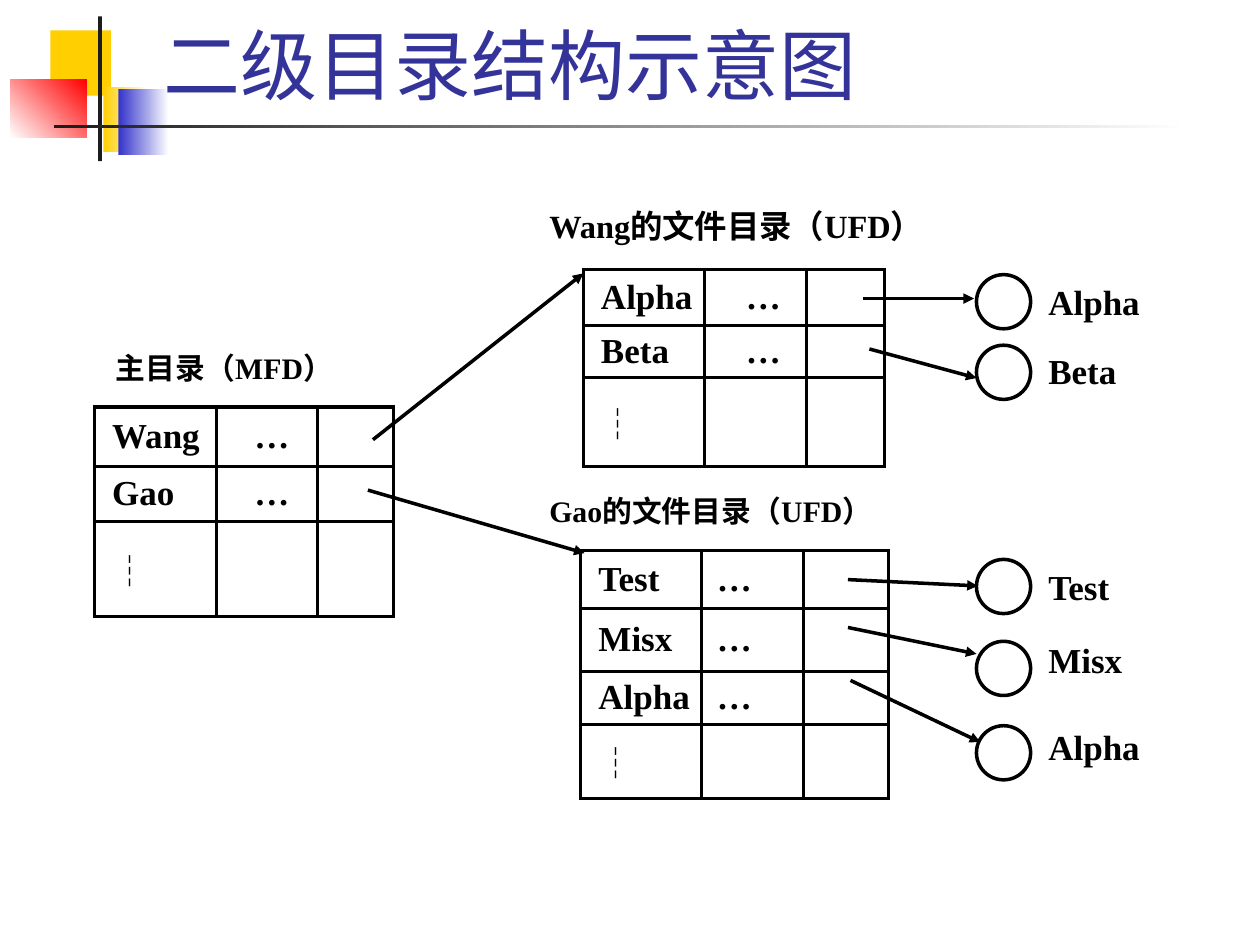
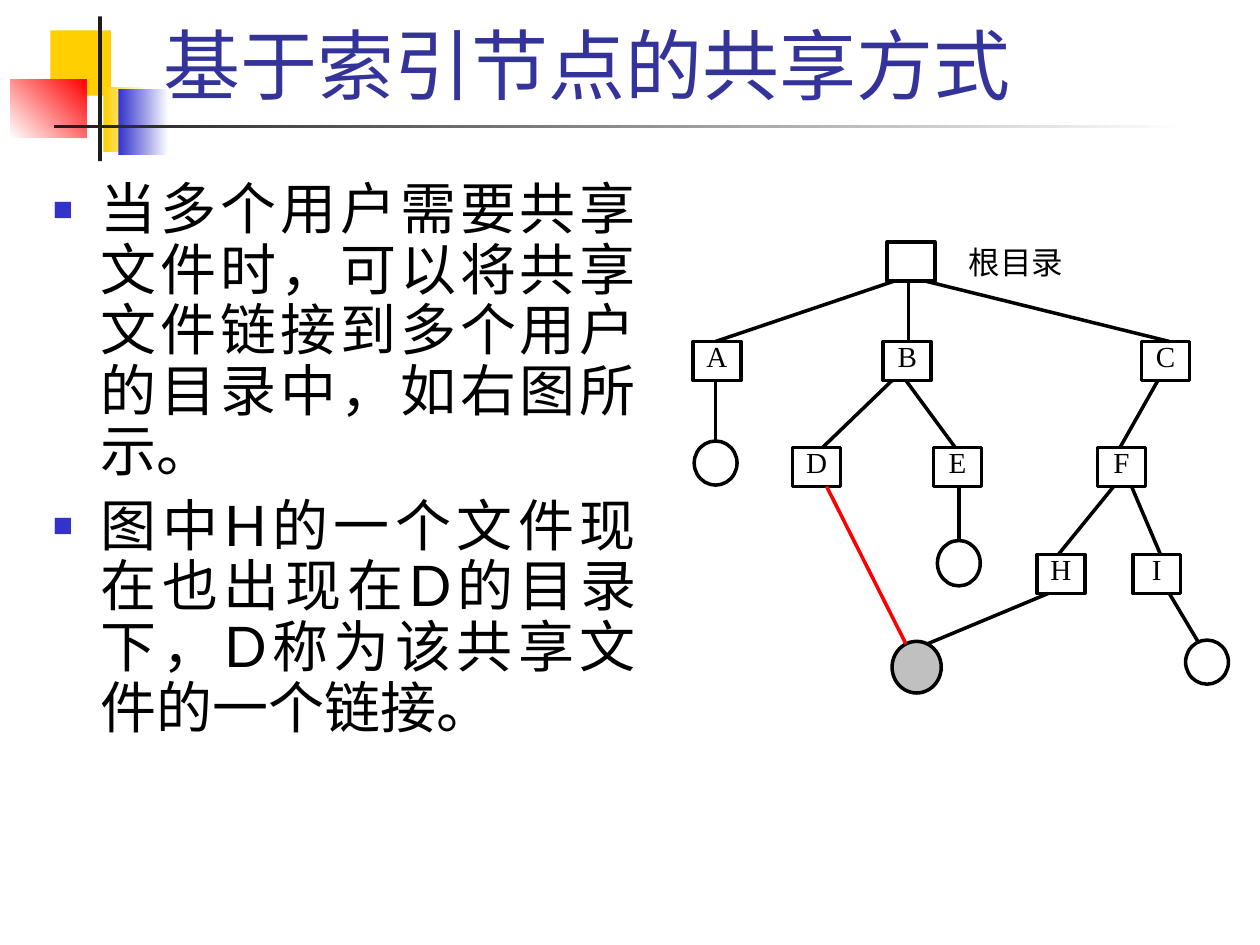
from math import sqrt

from lxml.etree import SubElement
from pptx import Presentation
from pptx.dml.color import RGBColor
from pptx.enum.shapes import MSO_CONNECTOR, MSO_SHAPE
from pptx.enum.text import MSO_ANCHOR, MSO_AUTO_SIZE, PP_ALIGN
from pptx.oxml.ns import qn
from pptx.util import Inches, Pt

BLACK, WHITE, RED = "000000", "FFFFFF", "FF0000"
CHARCOAL, GOLD, BLUE, TITLE_BLUE, GREY = "1C1C1C", "FFCF01", "3333CC", "333399", "C0C0C0"
SANS, SERIF, CHINESE = "Lato", "Times New Roman", "Noto Sans CJK SC"
SLIDE_WIDTH, SLIDE_HEIGHT = Inches(10), Inches(7.5)
GRID_COLUMNS = 100
STROKE = 2
NODE_WIDTH, NODE_HEIGHT = 3.8, 3.1
FILE_LEFT, FILE_SIZE, FILE_LABEL_LEFT = 77.5, 4.3, 83.2

BANDS = [
    ((4, 2.4, 4.8, 5.2), [GOLD], 0),
    ((8.2, 6.9, 3.6, 5.2), [GOLD, WHITE], 0),
    ((9.4, 7.1, 4, 5.2), [BLUE, WHITE], 0),
    ((0.8, 6.3, 6.1, 4.6), [WHITE, RED], 45),
    ((7.8, 1.3, 0.3, 11.5), [CHARCOAL], 0),
    ((4.3, 9.9, 90, 0.3), [CHARCOAL, WHITE], 0),
]

DIRECTORIES = [
    dict(left=7.5, top=32.3, columns=(9.7, 8, 6), rows=(4.7, 4.4, 7.5),
         names=("Wang", "Gao"), dots_indent=3),
    dict(left=46.3, top=21.4, columns=(9.6, 8.1, 6.2), rows=(4.4, 4.2, 7),
         names=("Alpha", "Beta"), dots_indent=3.3),
    dict(left=46.1, top=43.7, columns=(9.6, 8.1, 6.7), rows=(4.6, 5, 4.2, 5.9),
         names=("Test", "Misx", "Alpha"), dots_indent=1.2),
]
HEADINGS = [
    ("主目录（MFD）", (9.2, 28.1, 21.2, 2.9), 17),
    ("Wang的文件目录（UFD）", (43.6, 16.7, 32.9, 3.7), 18.5),
    ("Gao的文件目录（UFD）", (43.6, 39.4, 31.3, 3.1), 17),
]
FILES = [
    ("Alpha", 21.8, 22.3), ("Beta", 27.4, 27.7), ("Test", 44.4, 44.9),
    ("Misx", 50.9, 50.7), ("Alpha", 57.6, 57.6),
]
POINTERS = [
    ((29.6, 34.9), (46.3, 21.7)), ((29.2, 38.9), (46.4, 43.9)),
    ((68.5, 23.7), (77.3, 23.7)), ((69, 27.7), (77.5, 30)),
    ((67.3, 46), (77.6, 46.5)), ((67.3, 49.8), (77.5, 51.9)),
    ((67.5, 54), (77.8, 58.9)),
]

LEVELS = [19.2, 27.1, 35.5, 44]
FOLDERS = {
    "root": (70.4, 0), "A": (55, 1), "B": (70.1, 1), "C": (90.6, 1),
    "D": (62.9, 2), "E": (74.1, 2), "F": (87.1, 2), "H": (82.3, 3), "I": (89.9, 3),
}
LEAVES = {
    "A file": ((55.1, 35, 3.4, 3.5), WHITE),
    "E file": ((74.4, 42.9, 3.4, 3.6), WHITE),
    "shared file": ((70.8, 50.9, 3.9, 4.1), GREY),
    "I file": ((94.1, 50.8, 3.4, 3.5), WHITE),
}
LINKS = [
    ("root", 71, "A", 56.8), ("root", 72.1, "B", 72.1), ("root", 73.4, "C", 92.8),
    ("A", 56.8, "A file", 56.8), ("B", 70.8, "D", 65.3), ("B", 71.9, "E", 75.8),
    ("E", 76.1, "E file", 76.1), ("C", 91.9, "F", 88.9), ("F", 88.4, "H", 84),
    ("F", 89.8, "I", 92.1), ("D", 65.6, "shared file", 71.9),
    ("H", 83.2, "shared file", 73.6), ("I", 92.8, "I file", 95.1),
]
SHARING_POINTS = [
    "当多个用户需要共享文件时，可以将共享文件链接到多个用户的目录中，如右图所示。",
    "图中H的一个文件现在也出现在D的目录下，D称为该共享文件的一个链接。",
]


def rgb(value):
    return RGBColor.from_string(value)


def grid(cells):
    return round(SLIDE_WIDTH / GRID_COLUMNS * cells)


def place(area):
    return [grid(cells) for cells in area]


def add_bullet(paragraph):
    properties = paragraph._p.get_or_add_pPr()
    properties.set("marL", str(grid(3.8)))
    properties.set("indent", str(-grid(3.8)))
    colour = SubElement(properties, qn("a:buClr"))
    SubElement(colour, qn("a:srgbClr")).set("val", BLUE)
    SubElement(properties, qn("a:buSzPct")).set("val", "60000")
    SubElement(properties, qn("a:buChar")).set("char", "■")


def write(frame, *texts, size=20, font=SERIF, color=BLACK, bold=False, align=PP_ALIGN.JUSTIFY,
          spacing=1, before=0, bullet=False, anchor=MSO_ANCHOR.TOP, insets=None):
    frame.word_wrap = True
    frame.vertical_anchor = anchor
    if insets:
        frame.margin_left = frame.margin_right = grid(insets[0])
        frame.margin_top = frame.margin_bottom = grid(insets[1])
    for index, text in enumerate(texts):
        paragraph = frame.add_paragraph() if index else frame.paragraphs[0]
        paragraph.alignment = align
        paragraph.line_spacing = spacing
        paragraph.space_before = Pt(before if index else 0)
        if bullet:
            add_bullet(paragraph)
        run = paragraph.add_run()
        run.text = text
        run.font.size, run.font.name, run.font.bold = Pt(size), font, bold
        run.font.color.rgb = rgb(color)
        SubElement(run.font._element, qn("a:ea")).set("typeface", CHINESE)


def add_label(slide, area, text, insets=(0, 0), **text_format):
    write(slide.shapes.add_textbox(*place(area)).text_frame, text, insets=insets, **text_format)


def add_outlined(slide, kind, area, fill=WHITE):
    shape = slide.shapes.add_shape(kind, *place(area))
    shape.shadow.inherit = False
    shape.fill.solid()
    shape.fill.fore_color.rgb = rgb(fill)
    shape.line.color.rgb = rgb(BLACK)
    shape.line.width = Pt(STROKE)
    return shape


def add_link(slide, start, end, color=BLACK, arrow=False):
    link = slide.shapes.add_connector(MSO_CONNECTOR.STRAIGHT, *place(start + end))
    link.line.color.rgb = rgb(color)
    link.line.width = Pt(STROKE)
    if arrow:
        SubElement(link.line._get_or_add_ln(), qn("a:tailEnd")).set("type", "triangle")
    SubElement(link._element.spPr, qn("a:effectLst"))


def set_title(slide, text):
    title = slide.shapes.title
    title.left, title.top, title.width, title.height = place((12, 1.7, 85.2, 7.5))
    title.text_frame.auto_size = MSO_AUTO_SIZE.NONE
    write(title.text_frame, text, size=44, font=SANS, color=TITLE_BLUE,
          align=PP_ALIGN.LEFT, anchor=MSO_ANCHOR.BOTTOM)


def move_bands_to_master(slide, master):
    for index, (area, colors, angle) in enumerate(BANDS):
        band = slide.shapes.add_shape(MSO_SHAPE.RECTANGLE, *place(area))
        band.shadow.inherit = False
        band.line.fill.background()
        if len(colors) == 1:
            band.fill.solid()
            band.fill.fore_color.rgb = rgb(colors[0])
        else:
            band.fill.gradient()
            band.fill.gradient_angle = angle
            for stop, color in zip(band.fill.gradient_stops, colors):
                stop.color.rgb = rgb(color)
        band.element.nvSpPr.cNvPr.set("id", str(20 + index))
        master.shapes.element.insert(2 + index, band.element)


def format_cell(cell):
    properties = cell._tc.get_or_add_tcPr()
    for side in ("a:lnL", "a:lnR", "a:lnT", "a:lnB"):
        border = SubElement(properties, qn(side), w=str(Pt(STROKE)))
        colour = SubElement(SubElement(border, qn("a:solidFill")), qn("a:srgbClr"))
        colour.set("val", BLACK)
    cell.fill.solid()
    cell.fill.fore_color.rgb = rgb(WHITE)
    cell.vertical_anchor = MSO_ANCHOR.MIDDLE
    cell.margin_top = cell.margin_bottom = cell.margin_right = 0


def add_directory(slide, left, top, columns, rows, names, dots_indent):
    area = place((left, top, sum(columns), sum(rows)))
    directory = slide.shapes.add_table(len(rows), len(columns), *area).table
    directory.first_row = directory.horz_banding = False
    for column, width in zip(directory.columns, columns):
        column.width = grid(width)
    for row, height in zip(directory.rows, rows):
        row.height = grid(height)
    entries = [(name, "…", SERIF) for name in names] + [("┆", "", CHINESE)]
    for row, (name, dots, font) in enumerate(entries):
        for column in range(len(columns)):
            format_cell(directory.cell(row, column))
        for column, text, indent in ((0, name, 1.4), (1, dots, dots_indent)):
            if text:
                cell = directory.cell(row, column)
                cell.margin_left = grid(indent)
                write(cell.text_frame, text, font=font, bold=True, align=PP_ALIGN.LEFT,
                      anchor=MSO_ANCHOR.MIDDLE)


def build_directories(slide):
    set_title(slide, "二级目录结构示意图")
    for text, area, size in HEADINGS:
        add_label(slide, area, text, size=size, bold=True, spacing=0.9)
    for directory in DIRECTORIES:
        add_directory(slide, **directory)
    for name, circle_top, label_top in FILES:
        add_outlined(slide, MSO_SHAPE.OVAL, (FILE_LEFT, circle_top, FILE_SIZE, FILE_SIZE))
        add_label(slide, (FILE_LABEL_LEFT, label_top, 8.4, 3.7), name, bold=True)
    for start, end in POINTERS:
        add_link(slide, start, end, arrow=True)


def link_end(child, x):
    if child in FOLDERS:
        return x, LEVELS[FOLDERS[child][1]]
    left, top, width, height = LEAVES[child][0]
    offset = (x - left) / width * 2 - 1
    return x, top + height / 2 * (1 - sqrt(1 - offset ** 2))


def build_sharing(slide):
    set_title(slide, "基于索引节点的共享方式")
    points = slide.placeholders[1]
    points.left, points.top, points.width, points.height = place((3.2, 13.9, 48.3, 48.3))
    points.text_frame.auto_size = MSO_AUTO_SIZE.NONE
    write(points.text_frame, *SHARING_POINTS, size=32, font=SANS, spacing=0.9, before=8, bullet=True)
    add_label(slide, (76.1, 19.2, 9.7, 3.5), "根目录", size=18, insets=(0.8, 0.1))
    for name, (left, level) in FOLDERS.items():
        area = (left, LEVELS[level], NODE_WIDTH, NODE_HEIGHT)
        folder = add_outlined(slide, MSO_SHAPE.RECTANGLE, area)
        if name != "root":
            write(folder.text_frame, name, size=16.6, align=PP_ALIGN.CENTER, spacing=0.9,
                  insets=(0.8, 0.1))
    for area, fill in LEAVES.values():
        add_outlined(slide, MSO_SHAPE.OVAL, area, fill)
    for parent, start_x, child, end_x in LINKS:
        start = (start_x, LEVELS[FOLDERS[parent][1]] + NODE_HEIGHT)
        color = RED if (parent, child) == ("D", "shared file") else BLACK
        add_link(slide, start, link_end(child, end_x), color)


def main():
    deck = Presentation()
    deck.slide_width, deck.slide_height = SLIDE_WIDTH, SLIDE_HEIGHT
    directories = deck.slides.add_slide(deck.slide_layouts.get_by_name("Title Only"))
    sharing = deck.slides.add_slide(deck.slide_layouts.get_by_name("Title and Content"))
    move_bands_to_master(directories, deck.slide_master)
    build_directories(directories)
    build_sharing(sharing)
    deck.save("out.pptx")


if __name__ == "__main__":
    main()
